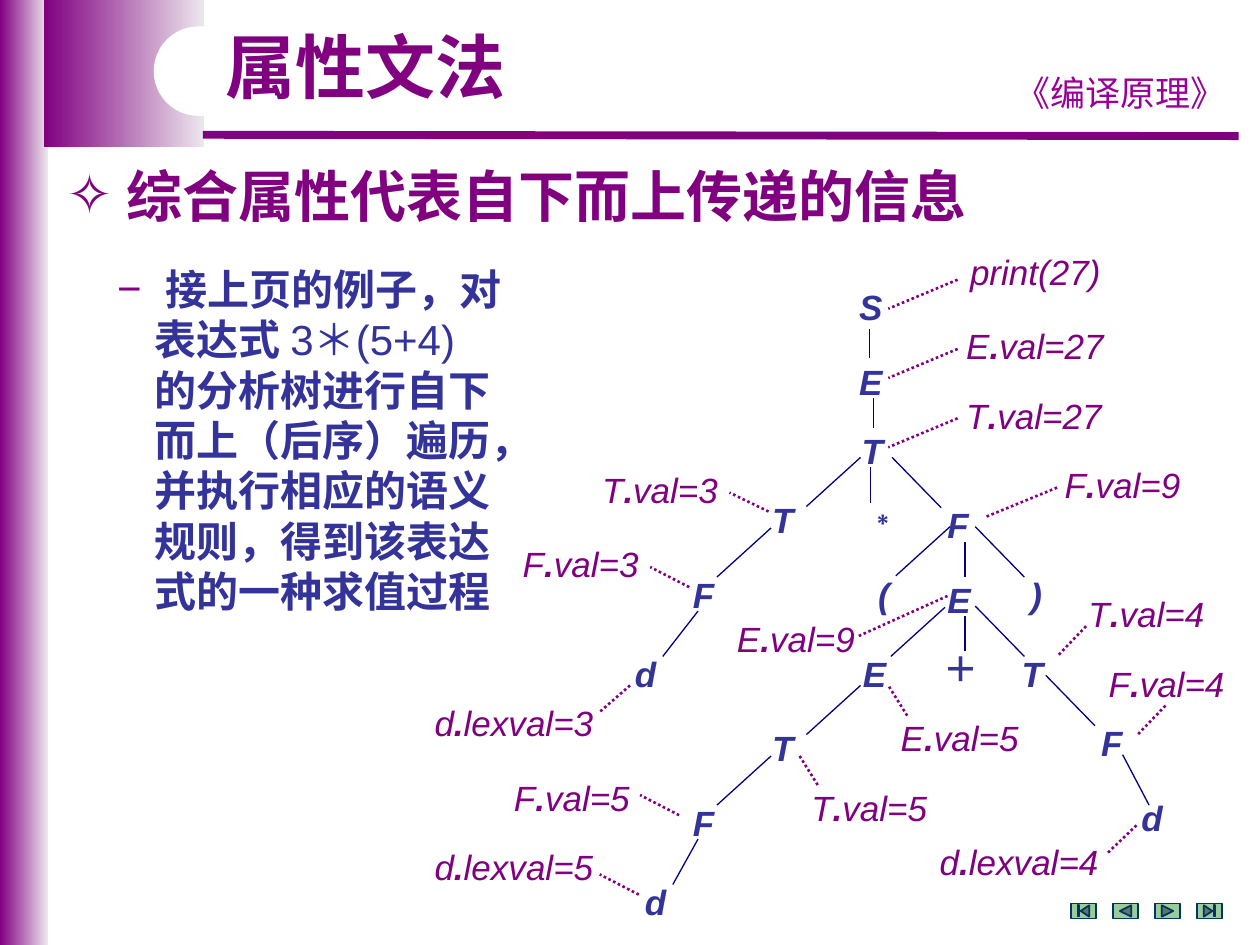
from typing import NamedTuple

from lxml import etree
from pptx import Presentation
from pptx.dml.color import RGBColor
from pptx.enum.dml import MSO_LINE
from pptx.enum.lang import MSO_LANGUAGE_ID
from pptx.enum.shapes import MSO_CONNECTOR, MSO_SHAPE
from pptx.enum.text import MSO_ANCHOR, MSO_AUTO_SIZE, PP_ALIGN
from pptx.oxml.ns import qn
from pptx.util import Inches, Pt

RECT, ROUND = MSO_SHAPE.RECTANGLE, MSO_SHAPE.ROUNDED_RECTANGLE
BUTTONS = (MSO_SHAPE.ACTION_BUTTON_BEGINNING,
           MSO_SHAPE.ACTION_BUTTON_BACK_OR_PREVIOUS,
           MSO_SHAPE.ACTION_BUTTON_FORWARD_OR_NEXT,
           MSO_SHAPE.ACTION_BUTTON_END)
STRAIGHT = MSO_CONNECTOR.STRAIGHT
DOTS = MSO_LINE.ROUND_DOT
CHINESE = MSO_LANGUAGE_ID.SIMPLIFIED_CHINESE
LEFT, CENTER = PP_ALIGN.LEFT, PP_ALIGN.CENTER
TOP, FIXED = MSO_ANCHOR.TOP, MSO_AUTO_SIZE.NONE
LATIN, HAN = "Arial", "Noto Sans CJK SC"
COLORS = {"purple": "800080", "pale": "EDE7ED", "violet": "990099",
          "blue": "333399", "navy": "000080", "white": "FFFFFF",
          "green": "99CC99", "teal": "003366"}


class Node(NamedTuple):
    text: str
    x: float
    y: float


class Edge(NamedTuple):
    x1: float
    y1: float
    x2: float
    y2: float


NODES = [
    Node("S", 6.72, 2.22), Node("E", 6.72, 2.81), Node("T", 6.74, 3.36),
    Node("T", 6.03, 3.91), Node("∗", 6.77, 3.87), Node("F", 7.42, 3.95),
    Node("F", 5.4, 4.5), Node("(", 6.87, 4.5), Node("E", 7.42, 4.54),
    Node(")", 8.08, 4.5), Node("d", 4.94, 5.13), Node("E", 6.75, 5.13),
    Node("＋", 7.39, 5.09), Node("T", 8.01, 5.13), Node("T", 6.03, 5.72),
    Node("F", 8.64, 5.68), Node("F", 5.4, 6.31), Node("d", 8.96, 6.27),
    Node("d", 5.02, 6.94),
]
EDGES = [
    Edge(6.9, 2.84, 6.9, 2.61), Edge(6.93, 3.4, 6.93, 3.16),
    Edge(6.4, 4.02, 6.83, 3.63), Edge(6.91, 3.99, 6.91, 3.71),
    Edge(7.47, 4.03, 7.08, 3.63), Edge(5.69, 4.58, 6.12, 4.19),
    Edge(5.26, 5.21, 5.54, 4.85), Edge(7.11, 4.57, 7.54, 4.18),
    Edge(7.66, 4.58, 7.66, 4.3), Edge(8.13, 4.58, 7.74, 4.18),
    Edge(7.07, 5.21, 7.5, 4.82), Edge(7.66, 5.17, 7.66, 4.89),
    Edge(8.13, 5.21, 7.74, 4.81), Edge(8.69, 5.76, 8.3, 5.36),
    Edge(9.12, 6.39, 8.91, 5.99), Edge(6.4, 5.83, 6.83, 5.44),
    Edge(5.69, 6.39, 6.12, 6), Edge(5.34, 7.02, 5.54, 6.66),
]
LABELS = [
    (Node("print(27)", 7.6, 1.94), Edge(7.6, 2.22, 7.05, 2.45)),
    (Node("E.val=27", 7.57, 2.53), Edge(7.6, 2.77, 7.05, 3)),
    (Node("T.val=27", 7.57, 3.08), Edge(7.6, 3.32, 7.05, 3.55)),
    (Node("F.val=9", 8.35, 3.63), Edge(8.39, 3.87, 7.83, 4.1)),
    (Node("E.val=9", 5.75, 4.85), Edge(7.52, 4.73, 6.81, 5.05)),
    (Node("T.val=4", 8.54, 4.65), Edge(8.62, 4.97, 8.39, 5.21)),
    (Node("F.val=4", 8.7, 5.21), Edge(9.25, 5.6, 9.02, 5.84)),
    (Node("d.lexval=4", 7.36, 6.62), Edge(9.02, 6.55, 8.78, 6.78)),
    (Node("E.val=5", 7.05, 5.64), Edge(7.2, 5.68, 7.05, 5.44)),
    (Node("T.val=5", 6.34, 6.19), Edge(6.49, 6.23, 6.34, 5.99)),
    (Node("T.val=3", 4.68, 3.67), Edge(6.1, 4.06, 5.79, 3.91)),
    (Node("F.val=3", 4.05, 4.26), Edge(5.47, 4.66, 5.16, 4.5)),
    (Node("d.lexval=3", 3.35, 5.52), Edge(5, 5.44, 4.76, 5.65)),
    (Node("F.val=5", 3.98, 6.11), Edge(5.39, 6.47, 5.08, 6.31)),
    (Node("d.lexval=5", 3.35, 6.66), Edge(5.07, 7.1, 4.76, 6.94)),
]
LINES = [
    [("接上页的例子，对", True)],
    [("表达式 ", True), ("3＊(5+4)", False)],
    [("的分析树进行自下", True)],
    [("而上（后序）遍历，", True)],
    [("并执行相应的语义", True)],
    [("规则，得到该表达", True)],
    [("式的一种求值过程", True)],
]


def tint(name: str) -> RGBColor:
    return RGBColor.from_string(COLORS[name])


def add_run(para, text: str, size: float, color: str, bold: bool = False,
            slant: bool = False, face: str = LATIN) -> None:
    run = para.add_run()
    run.text = text
    font = run.font
    font.name, font.size = face, Pt(size)
    font.bold, font.italic = bold, slant
    font.color.rgb = tint(color)
    font.language_id = CHINESE


def add_box(slide, x: float, y: float, w: float, h: float = 0.43):
    box = slide.shapes.add_textbox(*map(Inches, (x, y, w, h)))
    box.text_frame.word_wrap = True
    return box.text_frame.paragraphs[0]


def add_edge(slide, edge: Edge, color: str, width: float,
             dash=None) -> None:
    line = slide.shapes.add_connector(STRAIGHT, *map(Inches, edge))
    line.line.color.rgb = tint(color)
    line.line.width = Pt(width)
    if dash:
        line.line.dash_style = dash
    etree.SubElement(line.element.spPr, qn("a:effectLst"))


def add_form(slide, kind, x: float, y: float, w: float, h: float,
             fill: str, edge: str = "", fade: str = ""):
    form = slide.shapes.add_shape(kind, *map(Inches, (x, y, w, h)))
    form.shadow.inherit = False
    if fade:
        form.fill.gradient()
        form.fill.gradient_angle = 0
        for stop, place, name in zip(form.fill.gradient_stops, (0, 1),
                                     (fill, fade)):
            stop.position = place
            stop.color.rgb = tint(name)
    else:
        form.fill.solid()
        form.fill.fore_color.rgb = tint(fill)
    if edge:
        form.line.color.rgb = tint(edge)
        form.line.width = Pt(1)
    else:
        form.line.fill.background()
    return form


def set_holder(holder, x: float, y: float, w: float, h: float):
    holder.left, holder.top, holder.width, holder.height = map(
        Inches, (x, y, w, h))
    frame = holder.text_frame
    frame.word_wrap, frame.auto_size = True, FIXED
    frame.vertical_anchor = TOP
    holder.element.getparent().append(holder.element)
    return frame


def set_para(para, margin: float = 0, mark: str = "") -> None:
    props = para._p.get_or_add_pPr()
    props.set("marL", str(Inches(margin)))
    props.set("indent", str(-Inches(margin) if mark else 0))
    if mark:
        hue = etree.SubElement(props, qn("a:buClr"))
        etree.SubElement(hue, qn("a:srgbClr"), val=COLORS["purple"])
        etree.SubElement(props, qn("a:buChar"), char=mark)
    else:
        etree.SubElement(props, qn("a:buNone"))
    para.alignment = LEFT
    para.space_before = Pt(0)


def add_frame(slide) -> None:
    add_form(slide, RECT, 0, 0, 0.38, 7.5, "purple", fade="pale")
    add_form(slide, RECT, 0.35, 0, 1.27, 1.17, "purple", fade="pale")
    add_edge(slide, Edge(1.61, 1.07, 9.83, 1.08), "purple", 4.5)
    para = add_box(slide, 7.91, 0.52, 1.97)
    para.alignment = CENTER
    add_run(para, "《编译原理》", 20, "violet", face=HAN)
    pill = add_form(slide, ROUND, 1.22, 0.21, 3.62, 0.71, "white")
    pill.adjustments[0] = 0.5
    for i, kind in enumerate(BUTTONS):
        add_form(slide, kind, 8.5 + i / 3, 7.17, 0.2, 0.12, "green", "teal")


def add_texts(slide) -> None:
    title, head, body = slide.placeholders
    para = set_holder(title, 1.69, 0.21, 2.52, 0.7).paragraphs[0]
    set_para(para)
    para.line_spacing = 0.9
    add_run(para, "属性文法", 40, "purple", True)
    para = set_holder(head, 0.43, 1.23, 7.8, 0.63).paragraphs[0]
    set_para(para, 0.47, "✧")
    add_run(para, "综合属性代表自下而上传递的信息", 32, "purple", True)
    frame = set_holder(body, 0.83, 2.04, 3.7, 2.93)
    for i, parts in enumerate(LINES):
        para = frame.add_paragraph() if i else frame.paragraphs[0]
        set_para(para, 0.3 if i else 0.38, "" if i else "−")
        for text, bold in parts:
            add_run(para, text, 24, "blue", bold)


def add_tree(slide) -> None:
    for edge in EDGES:
        add_edge(slide, edge, "navy", 0.75)
    for text, x, y in NODES:
        add_run(add_box(slide, x, y, 0.38), text, 20, "blue", True,
                text not in "∗＋")
    for (text, x, y), edge in LABELS:
        para = add_box(slide, x, y, 0.42 + 0.11 * len(text))
        for part in filter(None, text.partition(".")):
            add_run(para, part, 20, "purple", part == ".", True)
        add_edge(slide, edge, "purple", 1.5, DOTS)


def main() -> None:
    deck = Presentation()
    deck.slide_width, deck.slide_height = Inches(10), Inches(7.5)
    slide = deck.slides.add_slide(deck.slide_layouts[3])
    add_frame(slide)
    add_texts(slide)
    add_tree(slide)
    deck.save("out.pptx")


if __name__ == "__main__":
    main()
